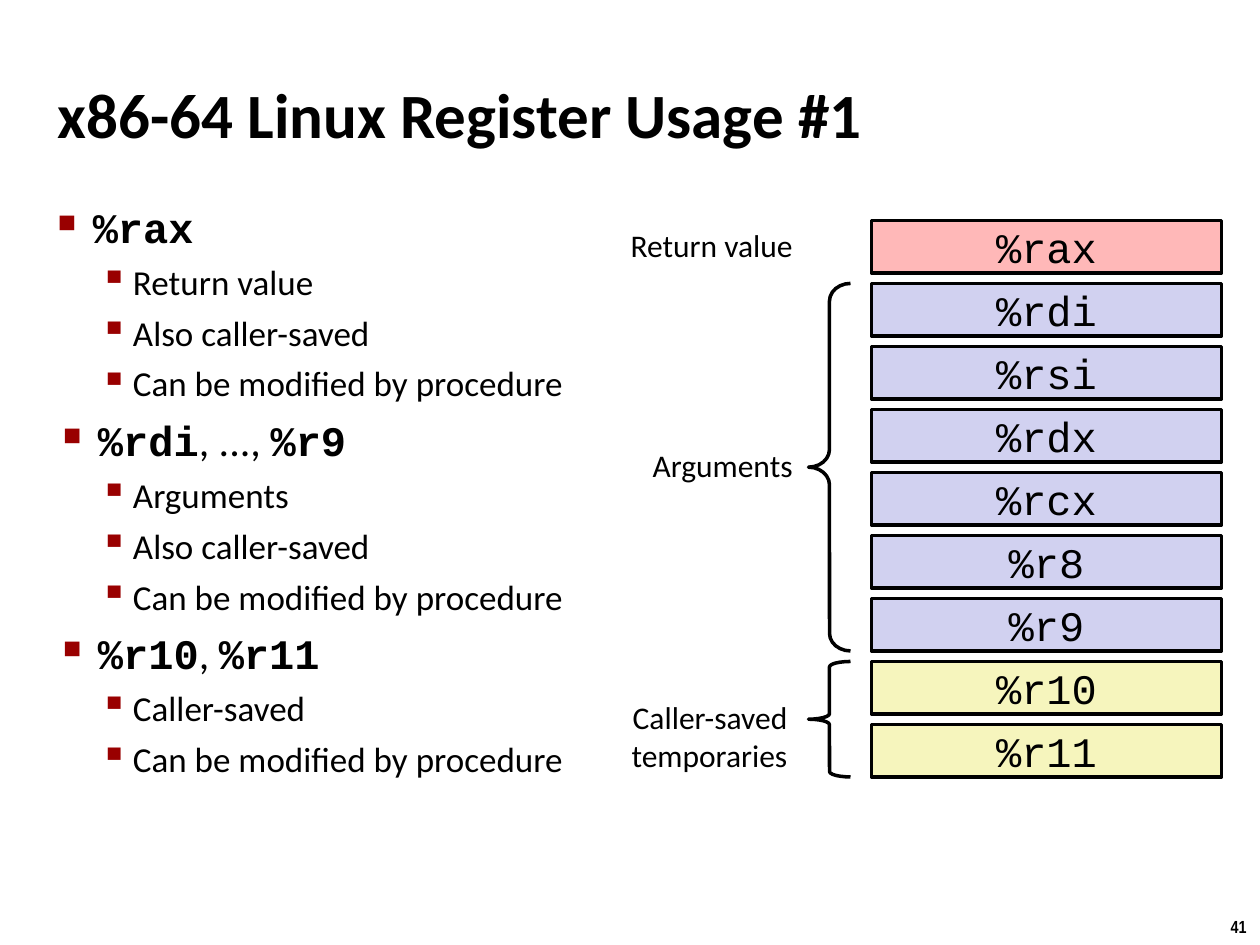
from lxml import etree
from pptx import Presentation
from pptx.dml.color import RGBColor
from pptx.enum.shapes import MSO_SHAPE
from pptx.enum.text import MSO_ANCHOR, MSO_AUTO_SIZE, PP_ALIGN
from pptx.oxml.ns import qn
from pptx.util import Pt

RECT, BRACE = MSO_SHAPE.RECTANGLE, MSO_SHAPE.LEFT_BRACE
MIDDLE, GROW = MSO_ANCHOR.MIDDLE, MSO_AUTO_SIZE.SHAPE_TO_FIT_TEXT
LEFT, CENTER, RIGHT = PP_ALIGN.LEFT, PP_ALIGN.CENTER, PP_ALIGN.RIGHT

BLACK = RGBColor(0x00, 0x00, 0x00)
PINK = RGBColor(0xFF, 0xB8, 0xB8)
LILAC = RGBColor(0xD1, 0xD1, 0xF0)
CREAM = RGBColor(0xF6, 0xF5, 0xBD)
RED = RGBColor(0x99, 0x00, 0x00)

SANS, MONO, THIN = "Calibri", "Courier New", "Arial Narrow"
TOP, STEP, HIGH = 126, 36, 30

REGS = [
    ("%rax", PINK),
    ("%rdi", LILAC),
    ("%rsi", LILAC),
    ("%rdx", LILAC),
    ("%rcx", LILAC),
    ("%r8", LILAC),
    ("%r9", LILAC),
    ("%r10", CREAM),
    ("%r11", CREAM),
]
GROUPS = [
    (20, [("%rax", MONO)],
     ["Return value", "Also caller-saved", "Can be modified by procedure"]),
    (23, [("%rdi", MONO), (", ..., ", SANS), ("%r9", MONO)],
     ["Arguments", "Also caller-saved", "Can be modified by procedure"]),
    (23, [("%r10", MONO), (", ", SANS), ("%r11", MONO)],
     ["Caller-saved", "Can be modified by procedure"]),
]


def add_run(para, text, size, face=SANS, bold=False):
    """Append one styled run to a paragraph."""
    run = para.add_run()
    run.text = text
    font = run.font
    font.name, font.size, font.bold = face, Pt(size), bold
    font.color.rgb = BLACK


def add_box(slide, left, top, width, height, wrap=True, pad=3):
    """Add a text box and return its text frame."""
    box = slide.shapes.add_textbox(Pt(left), Pt(top), Pt(width), Pt(height))
    frame = box.text_frame
    frame.word_wrap = wrap
    frame.margin_left = frame.margin_right = Pt(pad)
    frame.margin_top = frame.margin_bottom = Pt(3)
    if not wrap:
        frame.auto_size = GROW
    return frame


def add_label(slide, left, top, width, height, lines):
    """Add a right-aligned label of one or more lines."""
    frame = add_box(slide, left, top, width, height, wrap=False)
    for i, line in enumerate(lines):
        para = frame.add_paragraph() if i else frame.paragraphs[0]
        para.alignment = RIGHT
        add_run(para, line, 18)


def set_bullet(para, mark, scale, indent, hang):
    """Give a paragraph a red bullet and a hanging indent."""
    props = para._p.get_or_add_pPr()
    props.set("marL", str(Pt(indent)))
    props.set("indent", str(-Pt(hang)))
    color = etree.SubElement(props, qn("a:buClr"))
    etree.SubElement(color, qn("a:srgbClr"), val=str(RED))
    etree.SubElement(props, qn("a:buSzPct"), val=str(scale * 1000))
    etree.SubElement(props, qn("a:buChar"), char=mark)


def add_list(slide):
    """Add the two-level list of register groups."""
    frame = add_box(slide, 30, 112, 320, 426)
    for i, (indent, head, notes) in enumerate(GROUPS):
        para = frame.add_paragraph() if i else frame.paragraphs[0]
        set_bullet(para, "■", 60, indent, 20)
        if i:
            para.space_before = Pt(6)
        for text, face in head:
            add_run(para, text, 24, face, face == MONO)
        for note in notes:
            para = frame.add_paragraph()
            para.level = 1
            set_bullet(para, "▪", 110, 43, 19)
            para.space_before = Pt(5)
            add_run(para, note, 20)


def add_shape(slide, kind, left, top, width, height):
    """Add a preset shape with a black outline and no shadow."""
    shape = slide.shapes.add_shape(
        kind, Pt(left), Pt(top), Pt(width), Pt(height))
    shape.shadow.inherit = False
    shape.line.color.rgb = BLACK
    shape.line.width = Pt(2)
    return shape


def add_reg(slide, row, name, fill):
    """Add the box of one register at its row."""
    shape = add_shape(slide, RECT, 498, TOP + row * STEP, 200, HIGH)
    shape.fill.solid()
    shape.fill.fore_color.rgb = fill
    frame = shape.text_frame
    frame.margin_left = frame.margin_right = 0
    frame.margin_top = frame.margin_bottom = 0
    frame.vertical_anchor = MIDDLE
    para = frame.paragraphs[0]
    para.alignment = CENTER
    add_run(para, name, 24, MONO)


def add_brace(slide, first, last, curve):
    """Add a brace that spans a range of register rows."""
    height = (last - first) * STEP + HIGH
    shape = add_shape(slide, BRACE, 462, TOP + first * STEP, 24, height)
    shape.fill.background()
    shape.adjustments[0] = curve


def main():
    """Build the slide and save it."""
    deck = Presentation()
    deck.slide_width, deck.slide_height = Pt(720), Pt(540)
    slide = deck.slides.add_slide(deck.slide_layouts[6])

    title = add_box(slide, 30, 20, 510, 90)
    title.vertical_anchor = MIDDLE
    title.paragraphs[0].alignment = LEFT
    add_run(title.paragraphs[0], "x86-64 Linux Register Usage #1", 36,
            bold=True)

    add_list(slide)
    for row, (name, fill) in enumerate(REGS):
        add_reg(slide, row, name, fill)
    add_brace(slide, 1, 6, 0.42)
    add_brace(slide, 7, 8, 0.13)
    add_label(slide, 356, 126, 100, 28, ["Return value"])
    add_label(slide, 369, 252, 87, 28, ["Arguments"])
    add_label(slide, 353, 396, 100, 50, ["Caller-saved", "temporaries"])

    number = add_box(slide, 695.5, 520.5, 24.5, 19.5, wrap=False, pad=7.2)
    number.paragraphs[0].alignment = CENTER
    add_run(number.paragraphs[0], "41", 10, THIN, True)
    deck.save("out.pptx")


if __name__ == "__main__":
    main()
